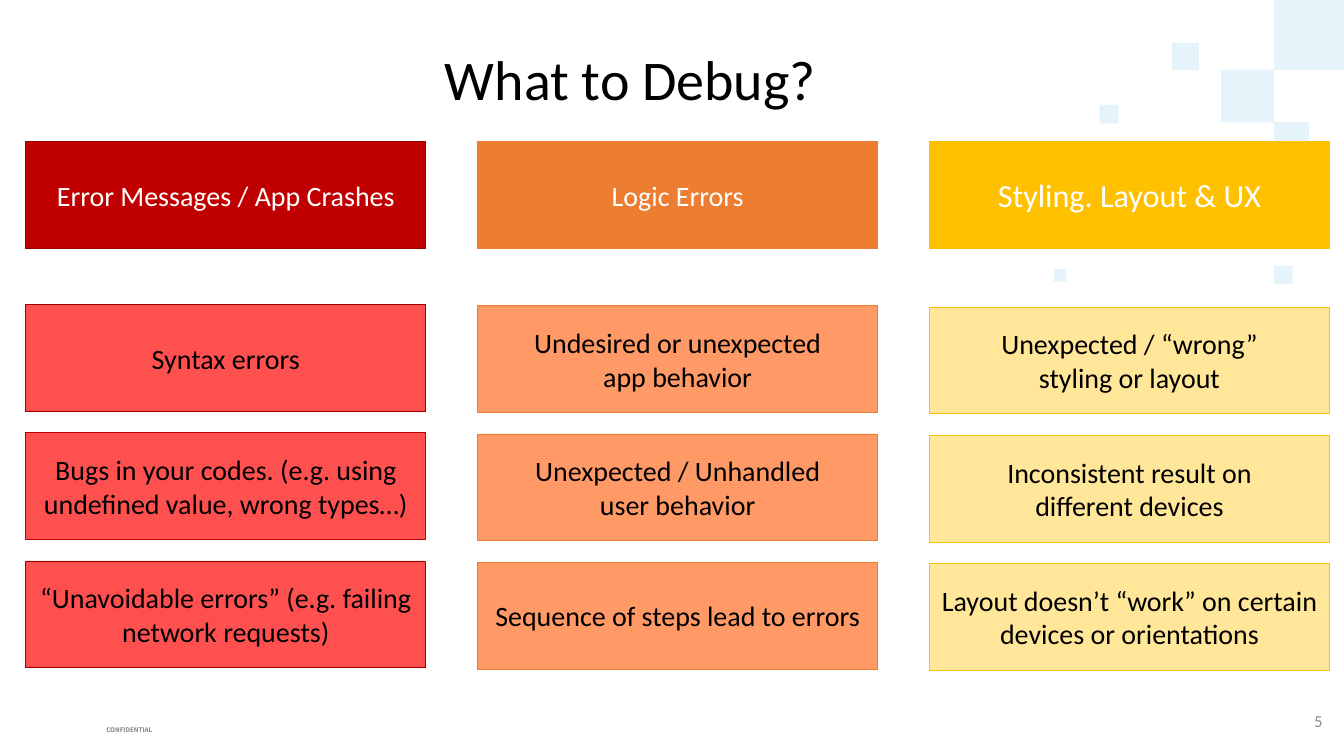
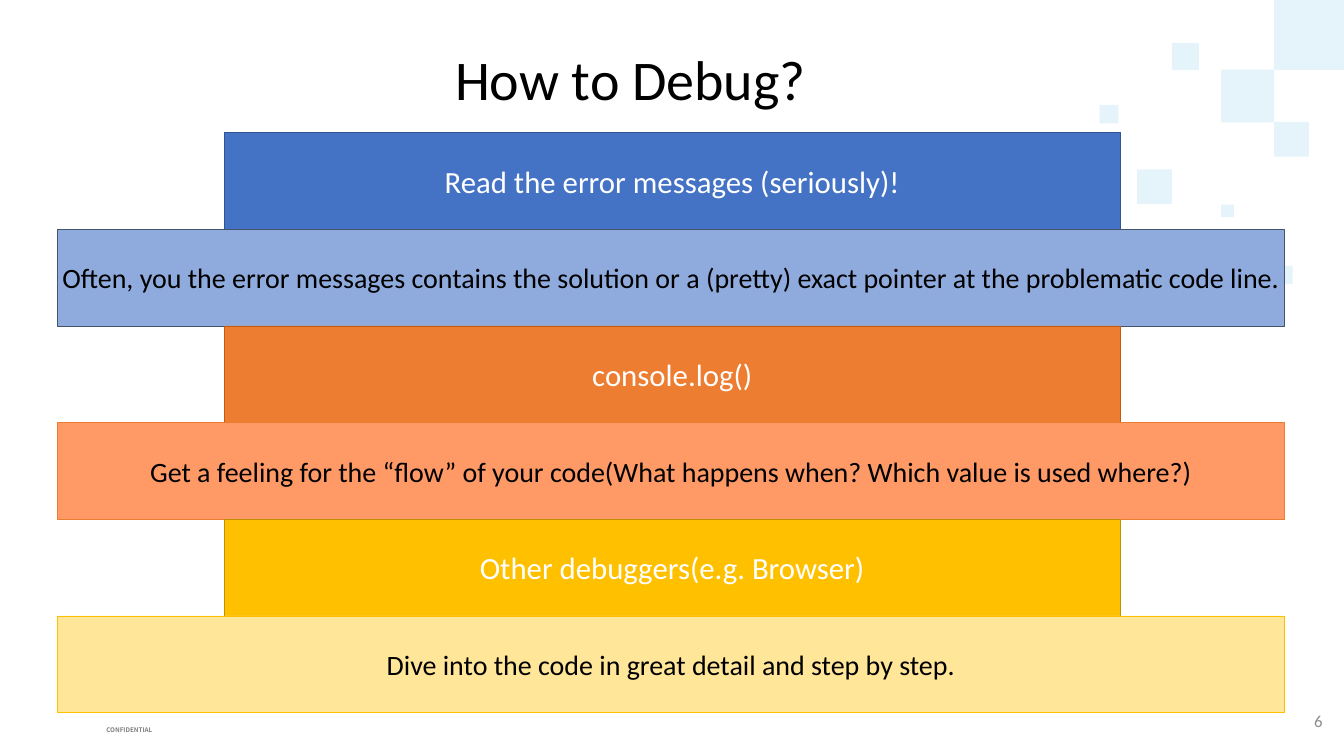
from lxml import etree
from pptx import Presentation
from pptx.dml.color import RGBColor
from pptx.enum import shapes, text
from pptx.oxml import ns
from pptx.util import Pt

COLORS = {
    "white": "FFFFFF", "black": "000000", "square": "008BD6",
    "footer": "808080", "number": "8C8C8C",
    "red": "C00000", "dark red": "990000", "light red": "FF5050",
    "orange": "ED7D31", "dark orange": "C55A11", "light orange": "FF9966",
    "gold": "FFC000", "dark gold": "BF9000", "light gold": "FFE699",
    "blue": "4472C4", "dark blue": "325491", "light blue": "8FAADC",
    "slate": "44546A",
}
FONT = "Calibri"
FOOTER_FONT = "Noto Sans CJK SC"
ALIGN = text.PP_ALIGN

# Decorative squares in the top right corner: left, top, side
SQUARES = [(1820.2, 174.2, 49.7), (1744.6, 99.4, 75.6), (1820.2, 0, 100),
           (1571, 149.8, 26.6), (1674, 61.2, 38.9), (1820.2, 379.4, 26.6)]
ERRORS_SQUARES = [(1505.5, 384.5, 18)]
STEPS_SQUARES = [(1624.3, 241.9, 49.7), (1744.6, 292.3, 18)]


def rgb(name):
    return RGBColor.from_string(COLORS[name])


def write(box, words, size=40, color="black", font=FONT, bold=False,
          align=ALIGN.CENTER, spacing=None, wrap=True, inset=None):
    """Put one formatted, vertically centred paragraph into a shape."""
    frame = box.text_frame
    frame.auto_size = text.MSO_AUTO_SIZE.NONE
    frame.word_wrap = wrap
    frame.vertical_anchor = text.MSO_ANCHOR.MIDDLE
    if inset is not None:
        frame.margin_left = frame.margin_right = Pt(inset)
        frame.margin_top = frame.margin_bottom = Pt(inset)
    para = frame.paragraphs[0]
    para.text = words
    para.alignment = align
    if spacing:
        para.line_spacing = spacing
    for span in para.runs:
        span.font.name = font
        span.font.size = Pt(size)
        span.font.bold = bold
        span.font.color.rgb = rgb(color)


class DebugDeck:
    def __init__(self):
        self.deck = Presentation()
        self.deck.slide_width = Pt(1920)
        self.deck.slide_height = Pt(1080)
        self.page = None

    def start_page(self, title, number, extra_squares):
        self.page = self.deck.slides.add_slide(self.deck.slide_layouts[5])
        for left, top, side in SQUARES + extra_squares:
            self.square(left, top, side)
        self.label("CONFIDENTIAL", 149, 1027.4, 140.4, 31, size=9, bold=True,
                   font=FOOTER_FONT, color="footer", align=ALIGN.LEFT,
                   wrap=False, inset=2.9)
        self.label(str(number), 1464.5, 1000.8, 432, 57.6, size=24,
                   color="number", align=ALIGN.RIGHT)
        self.title(title)

    def title(self, words):
        box = self.page.shapes.title
        box.left, box.top = Pt(36.7), Pt(57.6)
        box.width, box.height = Pt(1728), Pt(118.8)
        write(box, words, size=80, spacing=0.9)

    def label(self, words, left, top, width, height, **style):
        box = self.page.shapes.add_textbox(Pt(left), Pt(top), Pt(width), Pt(height))
        write(box, words, **style)

    def rectangle(self, left, top, width, height, fill):
        box = self.page.shapes.add_shape(
            shapes.MSO_SHAPE.RECTANGLE, Pt(left), Pt(top), Pt(width), Pt(height))
        box.shadow.inherit = False
        box.fill.solid()
        box.fill.fore_color.rgb = rgb(fill)
        return box

    def square(self, left, top, side):
        box = self.rectangle(left, top, side, side, "square")
        box.line.fill.background()
        color = box.fill._xPr.find(".//" + ns.qn("a:srgbClr"))
        etree.SubElement(color, ns.qn("a:alpha"), val="10000")

    def panel(self, words, left, top, width, height, fill, line, **style):
        box = self.rectangle(left, top, width, height, fill)
        box.line.color.rgb = rgb(line)
        box.line.width = Pt(1)
        write(box, words, **style)


def add_error_kinds(show):
    show.start_page("What to Debug?", 5, ERRORS_SQUARES)
    # heading, heading size, fill, light fill, line, cases
    columns = [
        ("Error Messages / App Crashes", 40, "red", "light red", "dark red",
         ["Syntax errors",
          "Bugs in your codes. (e.g. using undefined value, wrong types…)",
          "“Unavoidable errors” (e.g. failing network requests)"]),
        ("Logic Errors", 40, "orange", "light orange", "orange",
         ["Undesired or unexpected\napp behavior",
          "Unexpected / Unhandled\nuser behavior",
          "Sequence of steps lead to errors"]),
        ("Styling. Layout & UX", 46, "gold", "light gold", "gold",
         ["Unexpected / “wrong”\nstyling or layout",
          "Inconsistent result on\ndifferent devices",
          "Layout doesn’t “work” on certain devices or orientations"]),
    ]
    width, height = 571.7, 152.6
    for col, (heading, size, fill, light, line, cases) in enumerate(columns):
        left = 36.7 + 645.5 * col
        show.panel(heading, left, 202.3, width, height, fill, line,
                   size=size, color="white")
        for row, case in enumerate(cases):
            top = 434.9 + 1.8 * col + 183.2 * row
            edge = "red" if (col, row) == (0, 1) else line
            show.panel(case, left, top, width, height, light, edge)


def add_debug_steps(show):
    show.start_page("How to Debug?", 6, STEPS_SQUARES)
    # step, fill, line, then its explanation, fill, line
    steps = [
        ("Read the error messages (seriously)!", "blue", "dark blue",
         "Often, you the error messages contains the solution or a (pretty) "
         "exact pointer at the problematic code line.", "light blue", "slate"),
        ("console.log()", "orange", "dark orange",
         "Get a feeling for the “flow” of your code(What happens when? "
         "Which value is used where?)", "light orange", "orange"),
        ("Other debuggers(e.g. Browser)", "gold", "dark gold",
         "Dive into the code in great detail and step by step.",
         "light gold", "gold"),
    ]
    height = 138.1
    for index, (step, fill, line, detail, light, edge) in enumerate(steps):
        top = 189.4 + 2 * height * index
        show.panel(step, 320.4, top, 1280.2, height, fill, line,
                   size=44, color="white")
        show.panel(detail, 82.1, top + height, 1752.5, height, light, edge)


def main():
    show = DebugDeck()
    add_error_kinds(show)
    add_debug_steps(show)
    show.deck.save("out.pptx")


if __name__ == "__main__":
    main()
